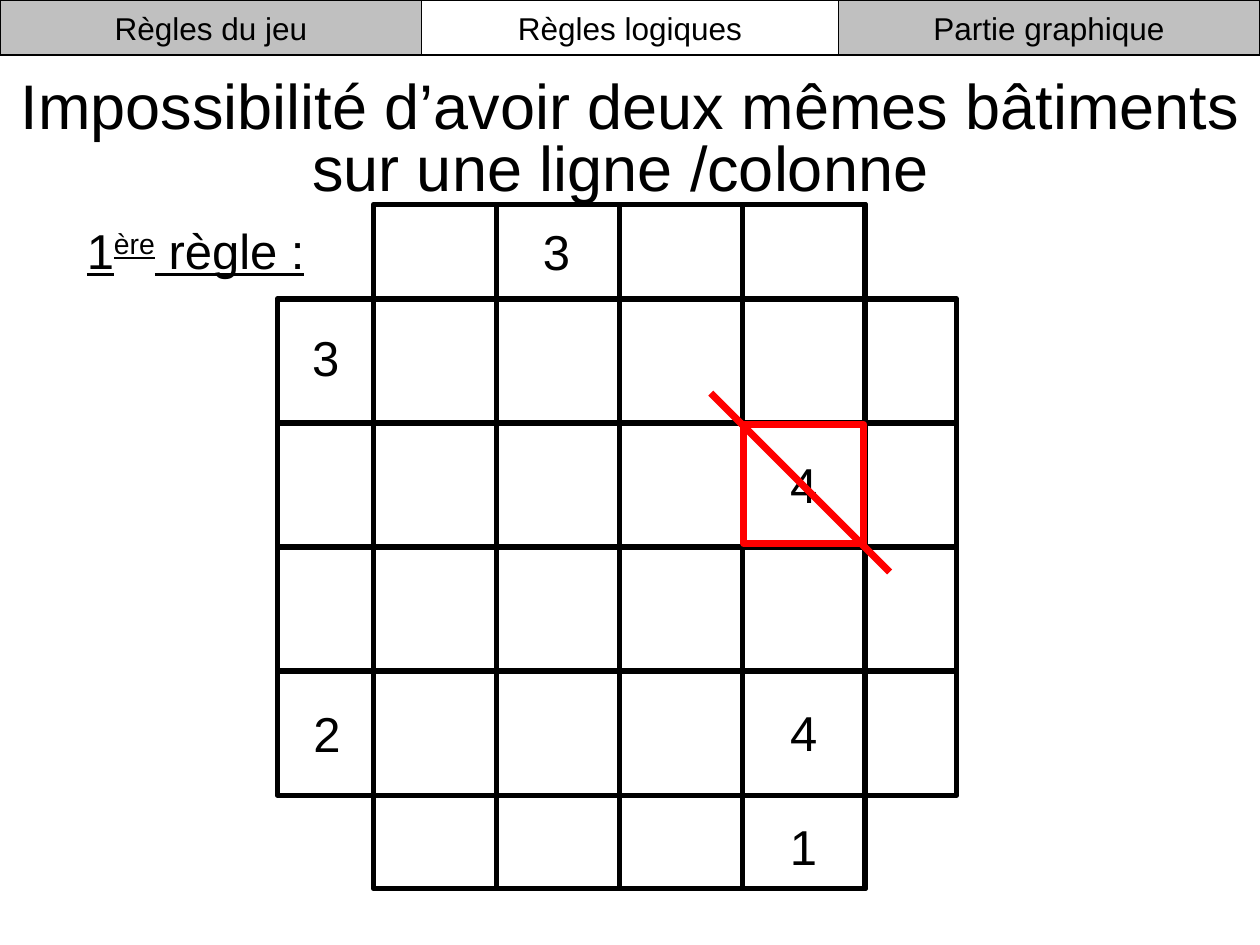
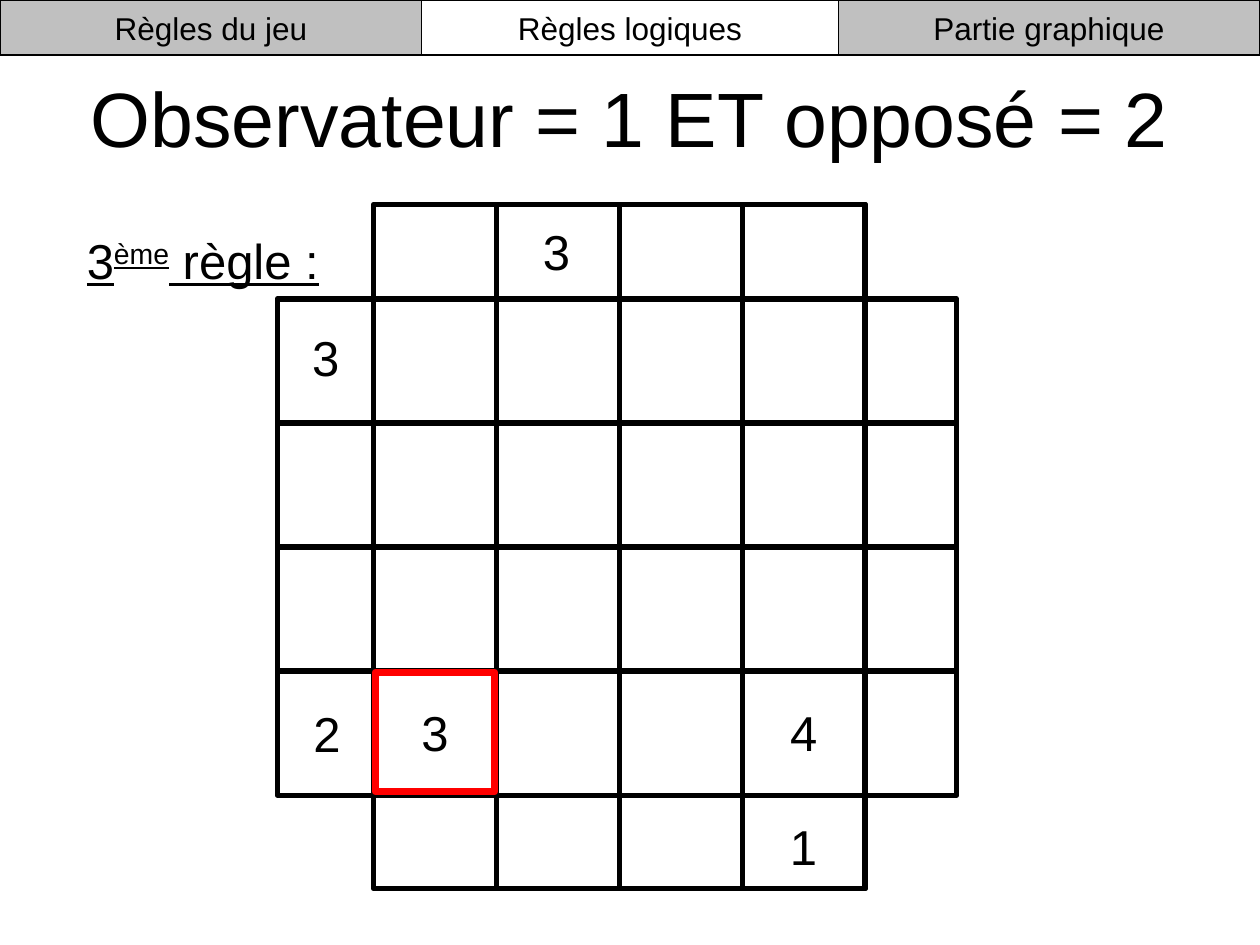
from dataclasses import dataclass

import pptx
import pptx.dml.color
import pptx.enum.shapes
import pptx.enum.text
import pptx.oxml.ns
import pptx.util
from lxml import etree

Pt = pptx.util.Pt
ALIGN = pptx.enum.text.PP_ALIGN
ANCHOR = pptx.enum.text.MSO_ANCHOR
SHAPE = pptx.enum.shapes.MSO_SHAPE
CONNECTOR = pptx.enum.shapes.MSO_CONNECTOR


@dataclass(frozen=True)
class Theme:
    font: str = "Arial"
    ink: str = "000000"
    accent: str = "FF0000"
    paper: str = "FFFFFF"
    inactive: str = "C0C0C0"
    title_size: int = 44
    long_title_size: int = 36
    long_title_end: int = 40
    number_size: int = 28
    tab_size: int = 18
    tab_line: float = 0.75
    grid_line: float = 3
    accent_line: float = 4


WIDTH, HEIGHT = 720, 540
TAB_WIDTH, TAB_HEIGHT = 241, 31.5
COUNT = 4
CELL_W, CELL_H = 70.25, 70.9
LEFT, TOP = 213.4, 170.8
OUTER_LEFT, OUTER_RIGHT = 158.4, 546.8
OUTER_TOP, OUTER_BOTTOM = 116.8, 507.8
CLUES = [
    ("3", 289.6, 123.1, 56.9),
    ("3", 160.6, 183.6, 51.1),
    ("1", 433.6, 463, 51.1),
    ("2", 161.3, 398.2, 51.1),
]


def rgb(value):
    return pptx.dml.color.RGBColor.from_string(value)


class Deck:
    def __init__(self, theme):
        self.theme = theme
        self.prs = pptx.Presentation()
        self.prs.slide_width, self.prs.slide_height = Pt(WIDTH), Pt(HEIGHT)
        self.s = None

    def new_slide(self):
        self.s = self.prs.slides.add_slide(self.prs.slide_layouts[6])

    def add_runs(self, sp, runs, align=ALIGN.CENTER, anchor=ANCHOR.MIDDLE,
                 wrap=True, spacing=None, underline=False):
        tf = sp.text_frame
        tf.word_wrap = wrap
        tf.vertical_anchor = anchor
        p = tf.paragraphs[0]
        p.alignment = align
        p.line_spacing = spacing
        for text, size, *baseline in runs:
            r = p.add_run()
            r.text = text
            r.font.name = self.theme.font
            r.font.size = Pt(size)
            r.font.color.rgb = rgb(self.theme.ink)
            if underline:
                r.font.underline = True
            if baseline:
                r.font._element.set("baseline", str(baseline[0] * 1000))

    def text(self, x, y, w, h, runs, **style):
        sp = self.s.shapes.add_textbox(Pt(x), Pt(y), Pt(w), Pt(h))
        self.add_runs(sp, runs, **style)

    def box(self, x, y, w, h, color, weight, fill=None, runs=()):
        sp = self.s.shapes.add_shape(SHAPE.RECTANGLE, Pt(x), Pt(y), Pt(w), Pt(h))
        sp.shadow.inherit = False
        if fill:
            sp.fill.solid()
            sp.fill.fore_color.rgb = rgb(fill)
        else:
            sp.fill.background()
        sp.line.color.rgb = rgb(color)
        sp.line.width = Pt(weight)
        if runs:
            self.add_runs(sp, runs, wrap=False)

    def line(self, x1, y1, x2, y2, color, weight):
        sp = self.s.shapes.add_connector(
            CONNECTOR.STRAIGHT, Pt(x1), Pt(y1), Pt(x2), Pt(y2))
        sp.line.color.rgb = rgb(color)
        sp.line.width = Pt(weight)
        etree.SubElement(sp._element.spPr, pptx.oxml.ns.qn("a:effectLst"))

    def tabs(self):
        t = self.theme
        for label, x, w, fill in [
            ("Règles logiques", 0, WIDTH, t.paper),
            ("Règles du jeu", 0, TAB_WIDTH, t.inactive),
            ("Partie graphique", WIDTH - TAB_WIDTH, TAB_WIDTH, t.inactive),
        ]:
            self.box(x, 0, w, TAB_HEIGHT, t.ink, t.tab_line, fill,
                     [(label, t.tab_size)])

    def board(self):
        t = self.theme
        for first, span in [(0, COUNT), (1, 1), (3, 1)]:
            self.box(LEFT + first * CELL_W, OUTER_TOP, span * CELL_W,
                     OUTER_BOTTOM - OUTER_TOP, t.ink, t.grid_line)
        for first, span in [(0, COUNT), (1, 1)]:
            self.box(OUTER_LEFT, TOP + first * CELL_H, OUTER_RIGHT - OUTER_LEFT,
                     span * CELL_H, t.ink, t.grid_line)
        y = TOP + 3 * CELL_H
        self.line(OUTER_LEFT, y, OUTER_RIGHT, y, t.ink, t.grid_line)
        for number, x, y, w in CLUES:
            self.text(x, y, w, 41, [(number, t.number_size)], anchor=ANCHOR.TOP)

    def cell(self, number, column, row, marked=False):
        t = self.theme
        place = (LEFT + column * CELL_W + 1, TOP + row * CELL_H + 0.6, 68.4, 68.4)
        runs = [(number, t.number_size)]
        if marked:
            self.box(*place, t.accent, t.accent_line, runs=runs)
        else:
            self.text(*place, runs, wrap=False)

    def strike(self, column, row):
        t = self.theme
        x = LEFT + (column + 0.5) * CELL_W - 2
        y = TOP + (row + 0.5) * CELL_H - 1.4
        reach = 51.1
        self.line(x - reach, y - reach, x + reach, y + reach,
                  t.accent, t.accent_line)

    def rule_label(self, number, suffix, y):
        size = self.theme.number_size
        self.text(42.5, y, 181.4, 41,
                  [(number, size), (suffix, size, 30), (" règle :", size)],
                  align=ALIGN.LEFT, anchor=ANCHOR.TOP, underline=True)


def main():
    t = Theme()
    deck = Deck(t)

    deck.new_slide()
    deck.text(0, 37.4, WIDTH, 90, [
        ("Impossibilité d’avoir deux mêmes bâtiments sur une ligne /colonne",
         t.long_title_size),
        (" ", t.long_title_end),
    ], spacing=0.75)
    deck.board()
    deck.rule_label("1", "ère", 122.4)
    deck.cell("4", 3, 3)
    deck.cell("4", 3, 1, marked=True)
    deck.strike(3, 1)
    deck.tabs()

    deck.new_slide()
    deck.text(36, 21.6, 648, 90,
              [("Observateur = 1 ET opposé = 2", t.title_size)])
    deck.board()
    deck.rule_label("3", "ème", 128.2)
    deck.cell("4", 3, 3)
    deck.cell("3", 0, 3, marked=True)
    deck.tabs()

    deck.prs.save("out.pptx")


if __name__ == "__main__":
    main()
